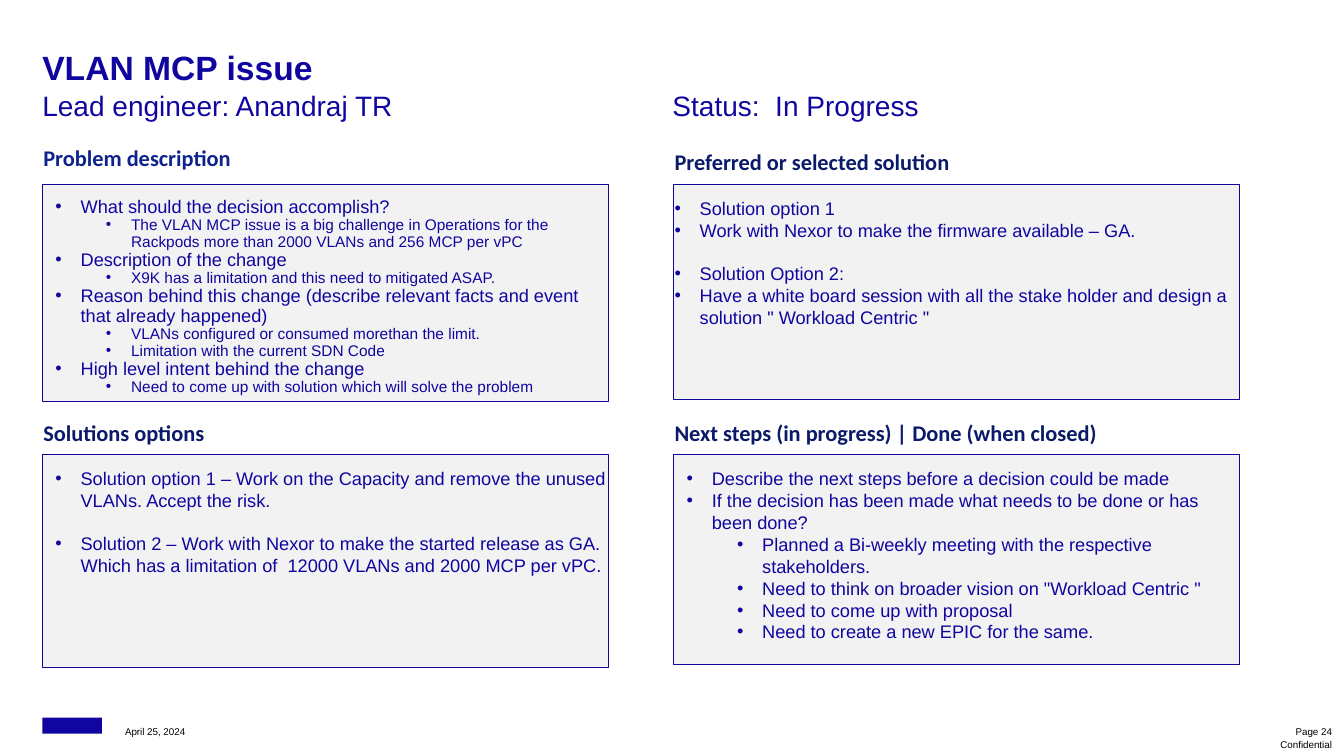
import dataclasses

import lxml.etree
import pptx
import pptx.dml.color
import pptx.enum.shapes
import pptx.enum.text
import pptx.oxml.ns
import pptx.util

Inches = pptx.util.Inches
Align = pptx.enum.text.PP_ALIGN
Anchor = pptx.enum.text.MSO_ANCHOR


@dataclasses.dataclass(frozen=True)
class Theme:
    body_font: str = "Arial"
    heading_font: str = "Calibri"
    blue: str = "10069F"
    navy: str = "0B1A69"
    royal: str = "0F238C"
    black: str = "000000"
    panel: str = "F2F2F2"
    title_size: int = 24
    subtitle_size: int = 20
    heading_size: int = 16
    body_size: int = 13
    detail_size: int = 11
    footer_size: int = 7
    option_gap: int = 15


def write_text(frame, text, *, first=False, font, size, color, bold=False,
               align=Align.LEFT, spacing=None, before=0, after=0):
    """Write one paragraph with its format and return it."""
    para = frame.paragraphs[0] if first else frame.add_paragraph()
    para.alignment = align
    para.space_before = pptx.util.Pt(before)
    para.space_after = pptx.util.Pt(after)
    if spacing:
        para.line_spacing = spacing
    span = para.add_run()
    span.text = text
    span.font.name = font
    span.font.size = pptx.util.Pt(size)
    span.font.bold = bold
    span.font.color.rgb = pptx.dml.color.RGBColor.from_string(color)
    return para


def add_bullet(para, level):
    para.level = level
    properties = para._p.get_or_add_pPr()
    properties.set("marL", str(Inches(0.25 + 0.5 * level)))
    properties.set("indent", str(Inches(-0.25)))
    font = lxml.etree.SubElement(properties, pptx.oxml.ns.qn("a:buFont"))
    font.set("typeface", "Arial")
    mark = lxml.etree.SubElement(properties, pptx.oxml.ns.qn("a:buChar"))
    mark.set("char", "•")


class IssuePage:
    def __init__(self, deck, theme):
        self.theme = theme
        self.page = deck.slides.add_slide(deck.slide_layouts[6])

    def prepare_frame(self, box, insets, anchor=Anchor.TOP):
        frame = box.text_frame
        frame.word_wrap = True
        frame.vertical_anchor = anchor
        (frame.margin_left, frame.margin_top,
         frame.margin_right, frame.margin_bottom) = map(Inches, insets)
        return frame

    def label(self, text, place, *, insets=(0, 0, 0, 0), anchor=Anchor.TOP, **style):
        box = self.page.shapes.add_textbox(*map(Inches, place))
        frame = self.prepare_frame(box, insets, anchor)
        write_text(frame, text, first=True, **style)

    def headline(self, text, place, size, **style):
        self.label(text, place, font=self.theme.body_font, size=size,
                   color=self.theme.blue, **style)

    def heading(self, text, left, top, color):
        self.label(text, (left, top, 5.61, 0.38), insets=(0.01,) * 4,
                   font=self.theme.heading_font, size=self.theme.heading_size,
                   color=color, bold=True, after=12)

    def footer(self, text, place, **style):
        self.label(text, place, font=self.theme.body_font,
                   size=self.theme.footer_size, color=self.theme.black, **style)

    def rectangle(self, place, fill, line=None):
        box = self.page.shapes.add_shape(
            pptx.enum.shapes.MSO_SHAPE.RECTANGLE, *map(Inches, place))
        box.shadow.inherit = False
        box.fill.solid()
        box.fill.fore_color.rgb = pptx.dml.color.RGBColor.from_string(fill)
        if line:
            box.line.color.rgb = pptx.dml.color.RGBColor.from_string(line)
            box.line.width = pptx.util.Pt(0.5)
        else:
            box.line.fill.background()
        return box

    def panel(self, left, top, height, bullets, *, inset=0.13, spacing=None,
              detail_size=None):
        """Bullets are (level, text) pairs, or (level, text, space before)."""
        theme = self.theme
        box = self.rectangle((left, top, 5.61, height), theme.panel, theme.blue)
        frame = self.prepare_frame(box, (inset, 0.13, 0.01, 0.01))
        for number, (level, text, *gap) in enumerate(bullets):
            size = detail_size if level and detail_size else theme.body_size
            para = write_text(frame, text, first=number == 0, font=theme.body_font,
                              size=size, color=theme.blue, spacing=spacing,
                              before=gap[0] if gap else 0)
            add_bullet(para, level)


def main():
    theme = Theme()
    deck = pptx.Presentation()
    deck.slide_width, deck.slide_height = Inches(13.33), Inches(7.5)
    issue = IssuePage(deck, theme)
    left, right = 0.42, 6.68

    # Title and status line
    issue.headline("VLAN MCP issue", (left, 0.47, 11.88, 0.41), theme.title_size,
                   bold=True, after=7.4)
    issue.headline("Lead engineer: Anandraj TR", (left, 0.88, 5.63, 0.41),
                   theme.subtitle_size, after=6)
    issue.headline("Status:  In Progress", (6.67, 0.88, 5.63, 0.41),
                   theme.subtitle_size, after=6)

    # Problem description
    issue.heading("Problem description", left, 1.42, theme.royal)
    issue.panel(left, 1.83, 2.15, [
        (0, "What should the decision accomplish?"),
        (1, "The VLAN MCP issue is a big challenge in Operations for the "
            "Rackpods more than 2000 VLANs and 256 MCP per vPC"),
        (0, "Description of the change"),
        (1, "X9K has a limitation and this need to mitigated ASAP."),
        (0, "Reason behind this change (describe relevant facts and event "
            "that already happened)"),
        (1, "VLANs configured or consumed morethan the limit."),
        (1, "Limitation with the current SDN Code"),
        (0, "High level intent behind the change"),
        (1, "Need to come up with solution which will solve the problem"),
    ], spacing=0.9, detail_size=theme.detail_size)

    # Preferred or selected solution
    issue.heading("Preferred or selected solution", right, 1.46, theme.navy)
    issue.panel(right, 1.83, 2.13, [
        (0, "Solution option 1"),
        (0, "Work with Nexor to make the firmware available – GA."),
        (0, "Solution Option 2:", theme.option_gap),
        (0, "Have a white board session with all the stake holder and design "
            "a solution \" Workload Centric \""),
    ], inset=0.01)

    # Solution options
    issue.heading("Solutions options", left, 4.15, theme.navy)
    issue.panel(left, 4.51, 2.11, [
        (0, "Solution option 1 – Work on the Capacity and remove the unused "
            "VLANs. Accept the risk."),
        (0, "Solution 2 – Work with Nexor to make the started release as GA. "
            "Which has a limitation of  12000 VLANs and 2000 MCP per vPC.",
         theme.option_gap),
    ])

    # Next steps
    issue.heading("Next steps (in progress) | Done (when closed)", right, 4.15,
                  theme.navy)
    issue.panel(right, 4.51, 2.08, [
        (0, "Describe the next steps before a decision could be made"),
        (0, "If the decision has been made what needs to be done or has "
            "been done?"),
        (1, "Planned a Bi-weekly meeting with the respective stakeholders."),
        (1, "Need to think on broader vision on \"Workload Centric \""),
        (1, "Need to come up with proposal"),
        (1, "Need to create a new EPIC for the same."),
    ])

    # Footer
    issue.rectangle((left, 7.12, 0.59, 0.16), theme.blue)
    issue.footer("April 25, 2024", (1.24, 7.13, 1.18, 0.15),
                 insets=(0, 0.2, 0, 0), anchor=Anchor.BOTTOM, spacing=1.1)
    issue.footer("Page 24", (12.5, 7.13, 0.72, 0.15), insets=(0, 0.2, 0.01, 0),
                 anchor=Anchor.BOTTOM, align=Align.RIGHT, spacing=1.1)
    issue.footer("Confidential", (12.57, 7.28, 0.64, 0.22), anchor=Anchor.MIDDLE,
                 align=Align.RIGHT, spacing=0.95)

    deck.save("out.pptx")


if __name__ == "__main__":
    main()
